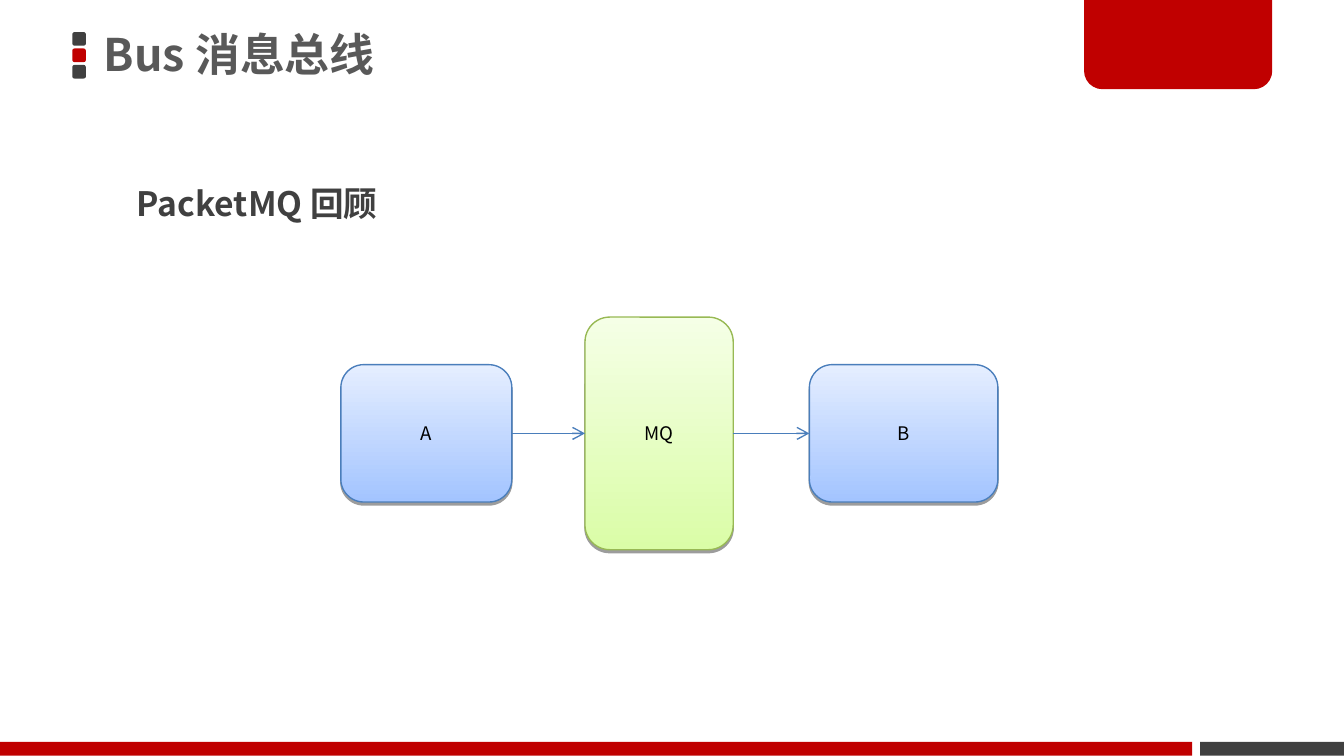
"""Build the message bus slide: A sends to B through an MQ."""
from lxml import etree
from pptx import Presentation
from pptx.dml.color import RGBColor
from pptx.enum import shapes, text
from pptx.oxml import ns
from pptx.util import Pt

FONT = "Noto Sans CJK SC"
COLORS = {
    "red": "C00000", "dark": "404040", "title": "595959", "black": "000000",
    "blue_line": "4A7EBB", "blue_deep": "A3C4FF", "blue_pale": "E5EEFF",
    "green_line": "98B954", "green_deep": "DAFDA7", "green_pale": "F5FFE6",
}
FLOW_CENTER = 232.2


def rgb(name):
    return RGBColor.from_string(COLORS[name])


def add_xml(parent, tag, **attributes):
    return etree.SubElement(parent, ns.qn(tag), attributes)


def style_paragraph(paragraph, size, color, bold=False):
    font = paragraph.font
    font.name, font.size, font.bold = FONT, Pt(size), bold
    font.color.rgb = rgb(color)
    add_xml(paragraph._p.pPr.find(ns.qn("a:defRPr")), "a:ea", typeface=FONT)


def place(shape, left, top, width, height):
    shape.left, shape.top = Pt(left), Pt(top)
    shape.width, shape.height = Pt(width), Pt(height)


def fill_placeholder(holder, words, box, anchor, spacing, size, color, insets):
    place(holder, *box)
    frame = holder.text_frame
    frame.text = words
    frame.word_wrap = True
    frame.auto_size = text.MSO_AUTO_SIZE.NONE
    frame.vertical_anchor = anchor
    frame.margin_left = frame.margin_right = Pt(insets[0])
    frame.margin_top = frame.margin_bottom = Pt(insets[1])
    paragraph = frame.paragraphs[0]
    paragraph.alignment = text.PP_ALIGN.LEFT
    paragraph.line_spacing = spacing
    paragraph.space_before = Pt(0)
    properties = paragraph._p.pPr
    properties.set("marL", "0")
    properties.set("indent", "0")
    add_xml(properties, "a:buNone")
    style_paragraph(paragraph, size, color, bold=True)


def add_block(slide, kind, box, color, adjustments=()):
    block = slide.shapes.add_shape(kind, *map(Pt, box))
    for index, value in enumerate(adjustments):
        block.adjustments[index] = value
    block.fill.solid()
    block.fill.fore_color.rgb = rgb(color)
    block.line.fill.background()
    block.shadow.inherit = False


def add_node(slide, label, left, width, height, hue):
    node = slide.shapes.add_shape(
        shapes.MSO_SHAPE.ROUNDED_RECTANGLE,
        Pt(left), Pt(FLOW_CENTER - height / 2), Pt(width), Pt(height))
    node.fill.gradient()
    node.fill.gradient_angle = 90
    for stop, tone in zip(node.fill.gradient_stops, ("deep", "pale")):
        stop.color.rgb = rgb(f"{hue}_{tone}")
    node.line.color.rgb = rgb(f"{hue}_line")
    node.line.width = Pt(0.75)
    node.shadow.inherit = False
    effects = node._element.spPr.find(ns.qn("a:effectLst"))
    shadow = add_xml(effects, "a:outerShdw", blurRad="0", dist=str(Pt(1.6)),
                     dir="5400000", rotWithShape="0")
    tint = add_xml(shadow, "a:srgbClr", val=COLORS["black"])
    add_xml(tint, "a:alpha", val="38000")
    frame = node.text_frame
    frame.text = label
    frame.vertical_anchor = text.MSO_ANCHOR.MIDDLE
    paragraph = frame.paragraphs[0]
    paragraph.alignment = text.PP_ALIGN.CENTER
    style_paragraph(paragraph, 10, "black")
    return node


def add_arrow(slide, sender, receiver):
    arrow = slide.shapes.add_connector(shapes.MSO_CONNECTOR.STRAIGHT, 0, 0, 0, 0)
    arrow.begin_connect(sender, 3)
    arrow.end_connect(receiver, 1)
    arrow.line.color.rgb = rgb("blue_line")
    arrow.line.width = Pt(0.75)
    add_xml(arrow.line._get_or_add_ln(), "a:tailEnd", type="arrow")
    add_xml(arrow._element.spPr, "a:effectLst")


def add_decoration(slide):
    kinds = shapes.MSO_SHAPE
    for row, color in enumerate(("dark", "red", "dark")):
        add_block(slide, kinds.ROUNDED_RECTANGLE,
                  (38.75, 17.2 + row * 8.8, 7.3, 7.3), color, [0.167])
    add_block(slide, kinds.RECTANGLE, (643, 397.4, 77, 7.4), "dark")
    add_block(slide, kinds.ROUND_2_SAME_RECTANGLE,
              (580.8, -1.5, 100.8, 49.3), "red", [0, 0.2])
    add_block(slide, kinds.RECTANGLE, (0, 397.4, 638.7, 7.4), "red")


def main():
    deck = Presentation()
    deck.slide_width, deck.slide_height = Pt(720), Pt(405)
    slide = deck.slides.add_slide(deck.slide_layouts[1])
    title, heading = slide.placeholders
    add_decoration(slide)
    fill_placeholder(title, "Bus 消息总线", (49.7, -1.4, 424, 64),
                     text.MSO_ANCHOR.MIDDLE, 0.9, 24, "title", (6, 3))
    fill_placeholder(heading, "PacketMQ 回顾", (66.2, 83.5, 322, 39.6),
                     text.MSO_ANCHOR.TOP, 1.5, 18, "dark", (7.2, 3.6))
    sender = add_node(slide, "A", 182.6, 91.6, 73.6, "blue")
    queue = add_node(slide, "MQ", 313.4, 79.4, 124.6, "green")
    receiver = add_node(slide, "B", 433.6, 101, 73.6, "blue")
    add_arrow(slide, sender, queue)
    add_arrow(slide, queue, receiver)
    deck.save("out.pptx")


if __name__ == "__main__":
    main()
